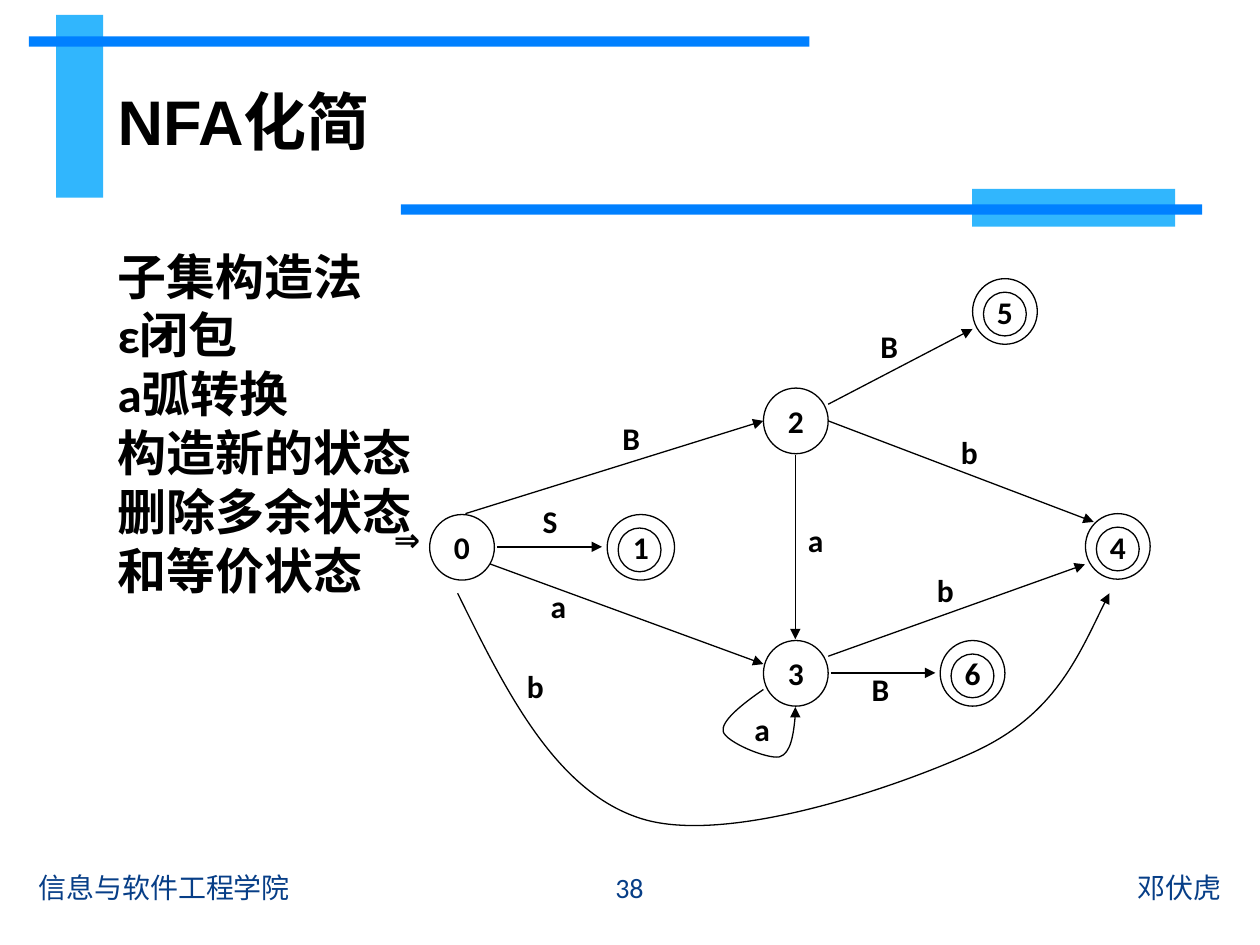
from dataclasses import dataclass

from lxml import etree
from pptx import Presentation, util as u
from pptx.dml.color import RGBColor
from pptx.enum import shapes, text
from pptx.oxml import ns

BLACK, NAVY, SKY, BLUE = "000000", "073E87", "31B6FD", "0080FF"
LEFT, CENTER, RIGHT = text.PP_ALIGN.LEFT, text.PP_ALIGN.CENTER, text.PP_ALIGN.RIGHT
STATE_W, STATE_H = 37, 37.5
LABEL_WIDTHS = {"S": 19.5, "B": 21, "b": 20, "a": 18.5, "⇒": 25}


@dataclass
class Bar:
    x: float
    y: float
    w: float
    h: float
    fill: str


@dataclass
class Footer:
    words: str
    x: float
    w: float
    align: text.PP_ALIGN


@dataclass
class State:
    name: str
    x: float
    y: float
    final: bool = False
    w: float = STATE_W


@dataclass
class Arrow:
    x1: float
    y1: float
    x2: float
    y2: float


@dataclass
class Label:
    words: str
    x: float
    y: float


BARS = [
    Bar(32, 8.5, 27, 104.5, SKY),
    Bar(16.5, 20.75, 446, 6, BLUE),
    Bar(555.5, 108, 116, 21.5, SKY),
    Bar(229, 116.75, 458, 6, BLUE),
]
FOOTERS = [
    Footer("邓伏虎", 407, 298, RIGHT),
    Footer("信息与软件工程学院", 15, 298, LEFT),
    Footer("38", 314, 91.5, CENTER),
]
STATES = [
    State("0", 245.5, 294),
    State("1", 347, 294, True, 38.5),
    State("2", 436.25, 221.75),
    State("3", 436.25, 366),
    State("4", 620.25, 293.5, True),
    State("5", 555.75, 159.25, True),
    State("6", 537.25, 366, True),
]
ARROWS = [
    Arrow(284.25, 312.5, 344, 312.5),
    Arrow(474.75, 384.5, 534.5, 384.5),
    Arrow(266, 293.5, 436.25, 240.5),
    Arrow(473.25, 240.5, 625, 298.25),
    Arrow(473.25, 231, 555.75, 188),
    Arrow(280, 322.25, 436.25, 379.5),
    Arrow(473.25, 375, 620, 322.5),
    Arrow(454.5, 260, 454.5, 365.25),
    Arrow(629.25, 348.5, 634, 339),
    Arrow(454.5, 408.25, 454.5, 404),
]
LABELS = [
    Label("S", 303, 283.5), Label("⇒", 218, 293.5), Label("B", 491, 379.5),
    Label("B", 348.5, 236), Label("b", 542, 244), Label("B", 496, 183.5),
    Label("a", 307.5, 332), Label("b", 528.25, 322.5), Label("a", 454.5, 294),
    Label("b", 294, 377.5), Label("a", 424, 402),
]
CURVES = [
    [(261.5, 339), (289.5, 396), (318, 453), (367, 468), (416, 483), (512, 450),
     (556, 430), (600, 410), (614.25, 379.5), (629.25, 348.5)],
    [(436.25, 394), (424, 402.5), (412, 412), (413.25, 418), (414.75, 424),
     (438.5, 434), (445.5, 432.5), (452, 430.5), (453.5, 419.75), (454.5, 408.25)],
]
METHODS = ["子集构造法", "ε闭包", "a弧转换", "构造新的状态", "删除多余状态", "和等价状态"]


def rgb(value: str) -> RGBColor:
    return RGBColor.from_string(value)


def place(sp, x: float, y: float, w: float, h: float) -> None:
    sp.left, sp.top, sp.width, sp.height = u.Pt(x), u.Pt(y), u.Pt(w), u.Pt(h)


def write(tf, lines: list[str], size: float, color: str = BLACK, bold: bool = True,
          align: text.PP_ALIGN = LEFT, font: str = "Calibri") -> None:
    for i, line in enumerate(lines):
        p = tf.paragraphs[0] if i == 0 else tf.add_paragraph()
        p.text = line
        p.alignment = align
        p.font.name, p.font.size, p.font.bold = font, u.Pt(size), bold
        p.font.color.rgb = rgb(color)


def draw_bar(s, bar: Bar) -> None:
    sp = s.shapes.add_shape(shapes.MSO_SHAPE.RECTANGLE,
                            u.Pt(bar.x), u.Pt(bar.y), u.Pt(bar.w), u.Pt(bar.h))
    sp.shadow.inherit = False
    sp.fill.solid()
    sp.fill.fore_color.rgb = rgb(bar.fill)
    sp.line.fill.background()


def draw_footer(s, footer: Footer) -> None:
    sp = s.shapes.add_textbox(u.Pt(footer.x), u.Pt(492.5), u.Pt(footer.w), u.Pt(28.75))
    tf = sp.text_frame
    tf.word_wrap = True
    tf.vertical_anchor = text.MSO_ANCHOR.MIDDLE
    write(tf, [footer.words], 16, NAVY, False, footer.align)


def outline(sp) -> None:
    sp.shadow.inherit = False
    sp.fill.background()
    sp.line.color.rgb = rgb(BLACK)
    sp.line.width = u.Pt(0.75)


def draw_circle(s, x: float, y: float, w: float, h: float):
    sp = s.shapes.add_shape(shapes.MSO_SHAPE.OVAL, u.Pt(x), u.Pt(y), u.Pt(w), u.Pt(h))
    outline(sp)
    return sp


def draw_state(s, state: State) -> None:
    if state.final:
        draw_circle(s, state.x + 6.25, state.y + 7.75, 24.5, 25)
    tf = draw_circle(s, state.x, state.y, state.w, STATE_H).text_frame
    tf.word_wrap = False
    tf.vertical_anchor = text.MSO_ANCHOR.MIDDLE
    tf.margin_left = tf.margin_right = u.Pt(6.5)
    tf.margin_top = tf.margin_bottom = u.Pt(3.5)
    write(tf, [state.name], 18, align=CENTER)


def draw_arrow(s, arrow: Arrow) -> None:
    sp = s.shapes.add_connector(shapes.MSO_CONNECTOR.STRAIGHT, u.Pt(arrow.x1),
                                u.Pt(arrow.y1), u.Pt(arrow.x2), u.Pt(arrow.y2))
    sp.line.color.rgb = rgb(BLACK)
    sp.line.width = u.Pt(0.75)
    ln = sp._element.spPr.find(ns.qn("a:ln"))
    etree.SubElement(ln, ns.qn("a:tailEnd"), type="triangle")
    etree.SubElement(sp._element.spPr, ns.qn("a:effectLst"))


def draw_label(s, label: Label) -> None:
    sp = s.shapes.add_textbox(u.Pt(label.x), u.Pt(label.y),
                              u.Pt(LABEL_WIDTHS[label.words]), u.Pt(24.5))
    tf = sp.text_frame
    tf.word_wrap = False
    tf.auto_size = text.MSO_AUTO_SIZE.SHAPE_TO_FIT_TEXT
    write(tf, [label.words], 18)


def draw_curve(s, points: list[tuple[float, float]]) -> None:
    start, *rest = [(u.Pt(x), u.Pt(y)) for x, y in points]
    builder = s.shapes.build_freeform(*start)
    builder.add_line_segments(rest, close=False)
    sp = builder.convert_to_shape()
    outline(sp)
    path = sp._element.find(".//" + ns.qn("a:path"))
    segments = path.findall(ns.qn("a:lnTo"))
    for i in range(0, len(segments), 3):
        bezier = etree.SubElement(path, ns.qn("a:cubicBezTo"))
        for segment in segments[i:i + 3]:
            bezier.append(segment[0])
            path.remove(segment)


def fill_placeholders(s) -> None:
    title, body = s.shapes.title, s.placeholders[1]
    place(title, 60, 31.75, 556, 73.5)
    title.text_frame.vertical_anchor = text.MSO_ANCHOR.MIDDLE
    write(title.text_frame, ["NFA化简"], 36, font="Arial")
    place(body, 60, 137, 184.5, 211)
    tf = body.text_frame
    tf.word_wrap = False
    tf.auto_size = text.MSO_AUTO_SIZE.SHAPE_TO_FIT_TEXT
    write(tf, METHODS, 28)
    for p in tf.paragraphs:
        p.space_before = u.Pt(0)
        pPr = p._p.get_or_add_pPr()
        pPr.set("marL", "0")
        pPr.set("indent", "0")
        pPr.insert_element_before(etree.Element(ns.qn("a:buNone")), "a:tabLst", "a:defRPr")


def main() -> None:
    prs = Presentation()
    prs.slide_width, prs.slide_height = u.Pt(720), u.Pt(540)
    s = prs.slides.add_slide(prs.slide_layouts[1])
    fill_placeholders(s)
    for draw, items in ((draw_bar, BARS), (draw_footer, FOOTERS), (draw_state, STATES),
                        (draw_arrow, ARROWS), (draw_curve, CURVES), (draw_label, LABELS)):
        for item in items:
            draw(s, item)
    prs.save("out.pptx")


if __name__ == "__main__":
    main()
